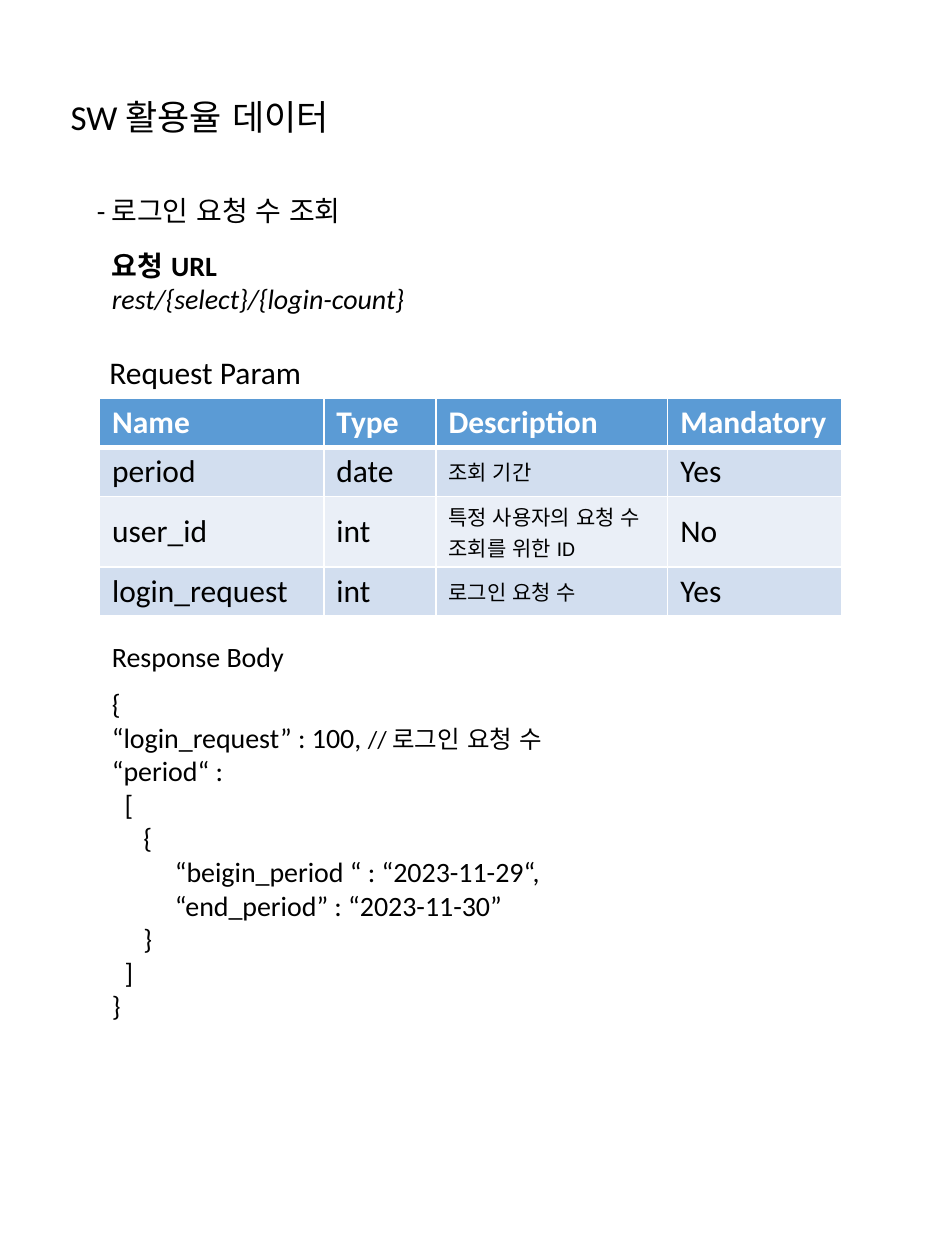
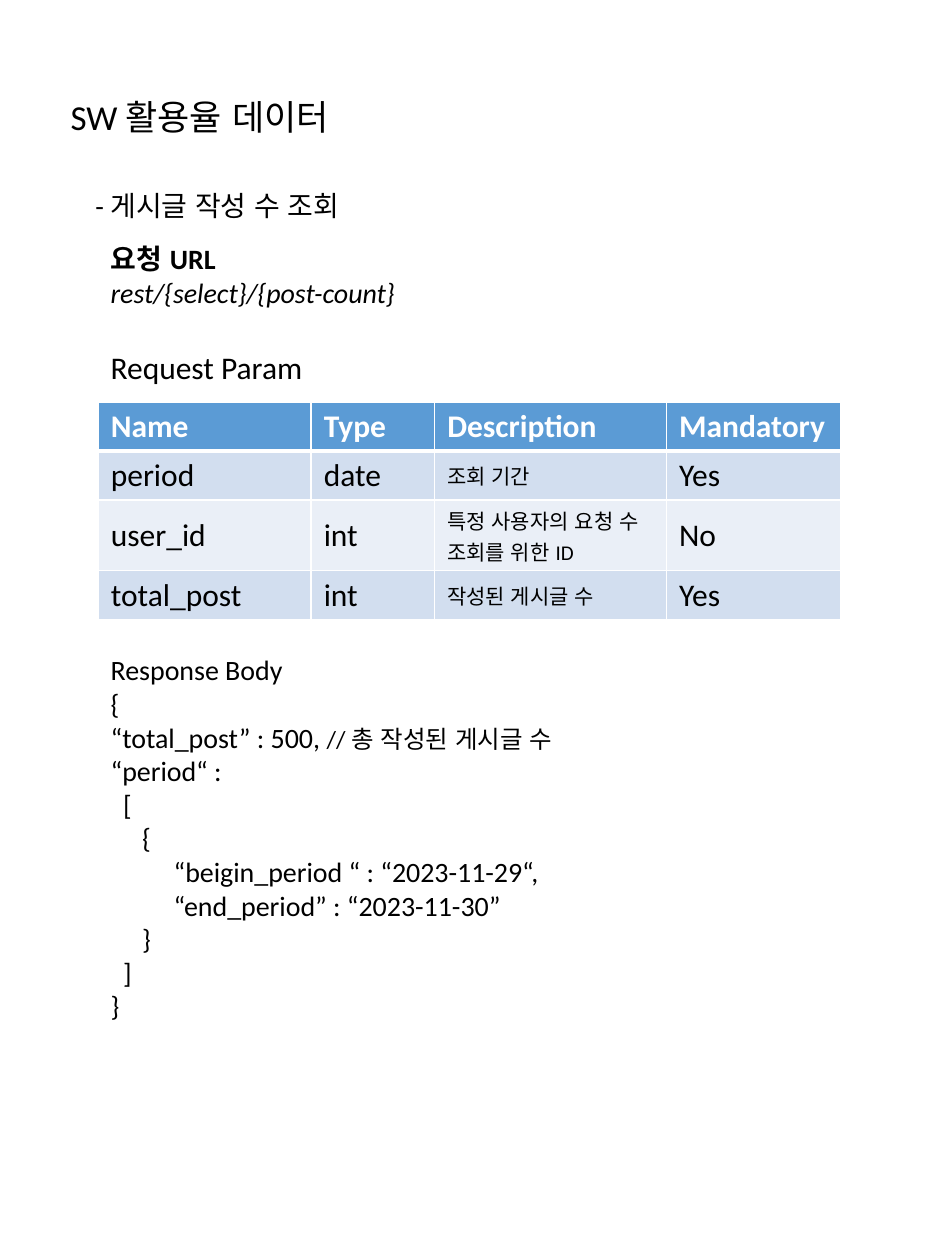
from dataclasses import dataclass

from lxml import etree
from pptx import Presentation
from pptx import util as u
from pptx.dml.color import RGBColor
from pptx.enum import lang, text
from pptx.oxml.ns import qn


@dataclass(frozen=True)
class Theme:
    font: str = "Calibri"
    ink: str = "000000"
    paper: str = "FFFFFF"
    header: str = "5B9BD5"
    bands: tuple = ("D2DEEF", "EAEFF7")
    title: int = 20
    heading: int = 18
    body: int = 16
    comment: int = 14
    note: int = 12
    rule: int = 1
    header_rule: int = 3


THEME = Theme()

TITLE = "SW 활용율 데이터"
HEADER = ("Name", "Type", "Description", "Mandatory")
SHARED_PARAMS = [
    ("period", "date", "조회 기간", "Yes"),
    ("user_id", "int", "특정 사용자의 요청 수 조회를 위한 ID", "No"),
]
PERIOD_LINES = [
    (0, "“period“ :"),
    (0.1, "["),
    (0.25, "{"),
    (0.5, "“beigin_period “ : “2023-11-29“,"),
    (0.5, "“end_period” : “2023-11-30”"),
    (0.25, "}"),
    (0.1, "]"),
    (0, "}"),
]
ROW_HEIGHTS = (0.39, 0.39, 0.56, 0.39)

ENDPOINTS = [
    dict(
        topic="- 로그인 요청 수 조회",
        url="rest/{select}/{login-count}",
        param=("login_request", "int", "로그인 요청 수", "Yes"),
        sample="“login_request” : 100, ",
        comment="// 로그인 요청 수",
        left=0.79,
        columns=(1.78, 0.89, 1.84, 1.38),
        url_width=2.55,
        param_left=0.77,
        tops=dict(topic=1.49, url=1.92, param=2.75, table=3.16, response=5.03),
    ),
    dict(
        topic="- 게시글 작성 수 조회",
        url="rest/{select}/{post-count}",
        param=("total_post", "int", "작성된 게시글 수", "Yes"),
        sample="“total_post” : 500, ",
        comment="// 총 작성된 게시글 수",
        left=0.78,
        columns=(1.69, 0.98, 1.84, 1.38),
        url_width=2.49,
        param_left=0.78,
        tops=dict(topic=1.45, url=1.87, param=2.71, table=3.19, response=5.13),
    ),
]


def add_span(para, words, size, color=THEME.ink, bold=False, italic=False):
    span = para.add_run()
    span.text = words
    font = span.font
    font.name, font.size = THEME.font, u.Pt(size)
    font.bold, font.italic = bold, italic
    font.language_id = lang.MSO_LANGUAGE_ID.KOREAN
    font.color.rgb = RGBColor.from_string(color)


def add_lines(page, place, lines, wrap=True):
    box = page.shapes.add_textbox(*map(u.Inches, place))
    frame = box.text_frame
    frame.word_wrap = wrap
    frame.auto_size = text.MSO_AUTO_SIZE.SHAPE_TO_FIT_TEXT
    for index, (indent, spans) in enumerate(lines):
        para = frame.add_paragraph() if index else frame.paragraphs[0]
        if indent:
            para._p.get_or_add_pPr().set("marL", str(u.Inches(indent)))
        for words, size, style in spans:
            add_span(para, words, size, **style)


def add_title(page):
    title = page.shapes.title
    title.left, title.top, title.width, title.height = map(u.Inches, (0.46, 0.7, 2.79, 0.49))
    frame = title.text_frame
    frame.auto_size = text.MSO_AUTO_SIZE.NONE
    frame.word_wrap = True
    frame.vertical_anchor = text.MSO_ANCHOR.MIDDLE
    para = frame.paragraphs[0]
    para.alignment = text.PP_ALIGN.LEFT
    para.line_spacing = 0.9
    add_span(para, TITLE, THEME.title)


def set_borders(cell, widths):
    properties = cell._tc.get_or_add_tcPr()
    for side, width in widths.items():
        line = etree.SubElement(properties, qn("a:ln" + side), w=str(u.Pt(width)))
        fill = etree.SubElement(line, qn("a:solidFill"))
        etree.SubElement(fill, qn("a:srgbClr"), val=THEME.paper)


def add_params(page, left, top, columns, rows):
    place = (left, top, sum(columns), sum(ROW_HEIGHTS))
    table = page.shapes.add_table(len(rows), len(columns), *map(u.Inches, place)).table
    table.horz_banding = False
    for column, width in zip(table.columns, columns):
        column.width = u.Inches(width)
    for r, (row, height) in enumerate(zip(rows, ROW_HEIGHTS)):
        table.rows[r].height = u.Inches(height)
        is_header = r == 0
        fill = THEME.header if is_header else THEME.bands[(r - 1) % 2]
        color = THEME.paper if is_header else THEME.ink
        anchor = text.MSO_ANCHOR.BOTTOM if is_header else text.MSO_ANCHOR.MIDDLE
        widths = dict.fromkeys("LRTB", THEME.rule)
        if is_header:
            widths["B"] = THEME.header_rule
        elif r == 1:
            widths["T"] = THEME.header_rule
        for c, words in enumerate(row):
            cell = table.cell(r, c)
            set_borders(cell, widths)
            cell.fill.solid()
            cell.fill.fore_color.rgb = RGBColor.from_string(fill)
            cell.vertical_anchor = anchor
            cell.margin_left = cell.margin_right = u.Inches(0.1)
            cell.margin_top = cell.margin_bottom = u.Inches(0.04)
            is_note = HEADER[c] == "Description" and not is_header
            size = THEME.note if is_note else THEME.heading
            add_span(cell.text_frame.paragraphs[0], words, size, color, is_header)


def plain(words, indent=0, size=THEME.body):
    return indent, [(words, size, {})]


def add_endpoint(deck, endpoint):
    page = deck.slides.add_slide(deck.slide_layouts[5])
    left, tops = endpoint["left"], endpoint["tops"]
    add_title(page)
    add_lines(page, (left - 0.12, tops["topic"], 2.27, 0.37),
              [plain(endpoint["topic"])], wrap=False)
    add_lines(page, (left, tops["response"], 1.58, 0.37), [plain("Response Body")])
    add_lines(page, (left, tops["url"], endpoint["url_width"], 0.64), [
        (0, [("요청 URL", THEME.body, dict(bold=True))]),
        (0, [(endpoint["url"], THEME.body, dict(italic=True))]),
    ], wrap=False)
    add_params(page, left, tops["table"], endpoint["columns"],
               [HEADER, *SHARED_PARAMS, endpoint["param"]])
    sample = (0, [(endpoint["sample"], THEME.body, {}),
                  (endpoint["comment"], THEME.comment, {})])
    add_lines(page, (left, 5.4, 6.06, 2.79),
              [plain("{"), sample] + [plain(words, indent) for indent, words in PERIOD_LINES])
    add_lines(page, (endpoint["param_left"], tops["param"], 2.57, 0.4),
              [plain("Request Param", size=THEME.heading)])


deck = Presentation()
deck.slide_width, deck.slide_height = u.Inches(7.5), u.Inches(10)
for endpoint in ENDPOINTS:
    add_endpoint(deck, endpoint)
deck.save("out.pptx")
